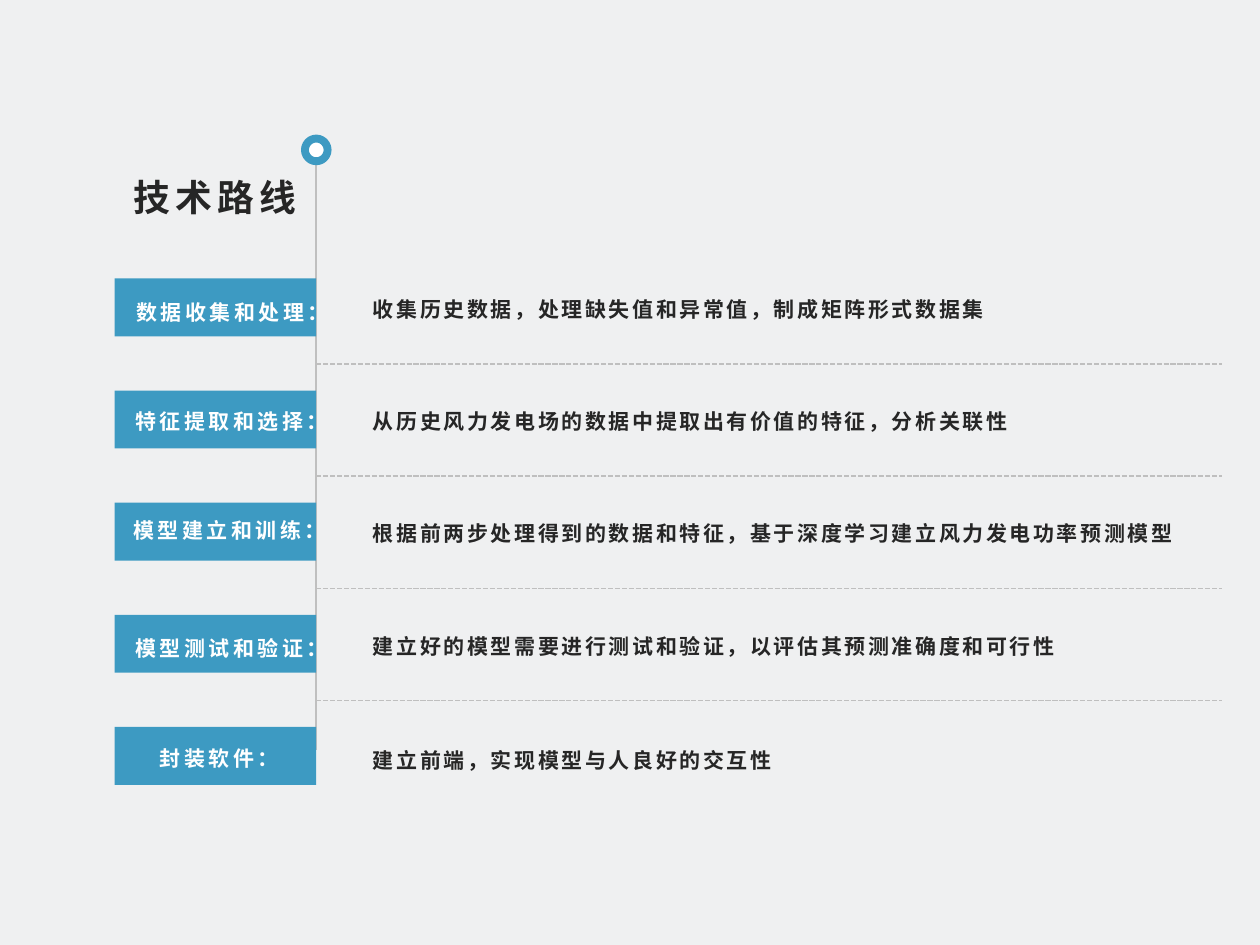
from typing import NamedTuple

import pptx
import pptx.dml.color
import pptx.enum.dml
import pptx.enum.shapes
import pptx.enum.text
import pptx.oxml.ns
import pptx.util
from lxml import etree

Inches = pptx.util.Inches
Pt = pptx.util.Pt
RGBColor = pptx.dml.color.RGBColor
Align = pptx.enum.text.PP_ALIGN
Anchor = pptx.enum.text.MSO_ANCHOR
Preset = pptx.enum.shapes.MSO_SHAPE

BLUE = RGBColor(0x3D, 0x9A, 0xC2)
DARK = RGBColor(0x26, 0x26, 0x26)
GRAY = RGBColor(0xBF, 0xBF, 0xBF)
WHITE = RGBColor(0xFF, 0xFF, 0xFF)
BACKGROUND = RGBColor(0xEF, 0xF0, 0xF1)

AXIS_X = 2.51
FIRST_BAR_TOP = 2.21
STEP_PITCH = 0.89
BAR_LEFT, BAR_WIDTH, BAR_HEIGHT = 0.91, 1.6, 0.46


class Area(NamedTuple):
    left: float
    top: float
    width: float
    height: float


class Step(NamedTuple):
    label: str
    label_area: Area
    detail: str
    detail_width: float = 6.45
    detail_spacing: float = 1.1


STEPS = [
    Step("数据收集和处理：", Area(0.95, 2.11, 1.63, 0.68),
         "收集历史数据，处理缺失值和异常值，制成矩阵形式数据集"),
    Step("特征提取和选择：", Area(0.93, 3, 1.65, 0.63),
         "从历史风力发电场的数据中提取出有价值的特征，分析关联性"),
    Step("模型建立和训练：", Area(0.95, 3.89, 1.58, 0.58),
         "根据前两步处理得到的数据和特征，基于深度学习建立风力发电功率预测模型",
         detail_width=6.75),
    Step("模型测试和验证：", Area(0.93, 4.82, 1.65, 0.59),
         "建立好的模型需要进行测试和验证，以评估其预测准确度和可行性"),
    Step("封装软件：", Area(1.14, 5.8, 1.2, 0.38),
         "建立前端，实现模型与人良好的交互性", detail_spacing=1.3),
]


def add_text(page, text: str, area: Area, *, size: float = 12,
             color: RGBColor = DARK, align=Align.LEFT, anchor=Anchor.MIDDLE,
             line_spacing: float = 1.1, tracking: float = 1.5) -> None:
    box = page.shapes.add_textbox(*map(Inches, area))
    frame = box.text_frame
    frame.word_wrap = True
    frame.vertical_anchor = anchor
    frame.margin_left = frame.margin_right = Inches(0.07)
    frame.margin_top = frame.margin_bottom = Inches(0.04)
    para = frame.paragraphs[0]
    para.alignment = align
    para.line_spacing = line_spacing
    span = para.add_run()
    span.text = text
    span.font.name = "Arial"
    span.font.size = Pt(size)
    span.font.bold = True
    span.font.color.rgb = color
    span._r.get_or_add_rPr().set("spc", str(int(tracking * 100)))


def add_rule(page, start: tuple[float, float], end: tuple[float, float],
             dashed: bool = False) -> None:
    rule = page.shapes.add_connector(
        pptx.enum.shapes.MSO_CONNECTOR.STRAIGHT, *map(Inches, start + end))
    rule.line.color.rgb = GRAY
    rule.line.width = Pt(1)
    if dashed:
        rule.line.dash_style = pptx.enum.dml.MSO_LINE.SQUARE_DOT
        dash = rule.line._ln.find(pptx.oxml.ns.qn("a:prstDash"))
        dash.set("val", "sysDash")
    etree.SubElement(rule._element.spPr, pptx.oxml.ns.qn("a:effectLst"))


def add_shape(page, preset, area: Area, fill: RGBColor,
              outline: RGBColor | None = None, width: float = 0) -> None:
    shape = page.shapes.add_shape(preset, *map(Inches, area))
    shape.shadow.inherit = False
    shape.fill.solid()
    shape.fill.fore_color.rgb = fill
    if outline is None:
        shape.line.fill.background()
    else:
        shape.line.color.rgb = outline
        shape.line.width = Pt(width)


def add_step(page, index: int, step: Step) -> None:
    top = FIRST_BAR_TOP + index * STEP_PITCH
    add_shape(page, Preset.RECTANGLE,
              Area(BAR_LEFT, top, BAR_WIDTH, BAR_HEIGHT), BLUE)
    add_text(page, step.label, step.label_area, color=WHITE,
             align=Align.CENTER, line_spacing=1.3, tracking=2)
    add_text(page, step.detail, Area(2.89, top - 0.1, step.detail_width, 0.67),
             line_spacing=step.detail_spacing)
    if index < len(STEPS) - 1:
        divider_y = top + 0.68
        add_rule(page, (AXIS_X, divider_y), (9.7, divider_y), dashed=True)


def main() -> None:
    deck = pptx.Presentation()
    deck.slide_width = Inches(10)
    deck.slide_height = Inches(7.5)
    page = deck.slides.add_slide(deck.slide_layouts[6])
    page.background.fill.solid()
    page.background.fill.fore_color.rgb = BACKGROUND

    add_text(page, "技术路线", Area(0.12, 1.28, 2.3, 0.95), size=21,
             align=Align.RIGHT, anchor=Anchor.TOP, line_spacing=1.2, tracking=3)
    add_rule(page, (AXIS_X, 1.1), (AXIS_X, 5.95))
    for index, step in enumerate(STEPS):
        add_step(page, index, step)
    add_shape(page, Preset.OVAL, Area(AXIS_X - 0.09, 1.1, 0.18, 0.18),
              WHITE, outline=BLUE, width=4.5)
    deck.save("out.pptx")


main()
